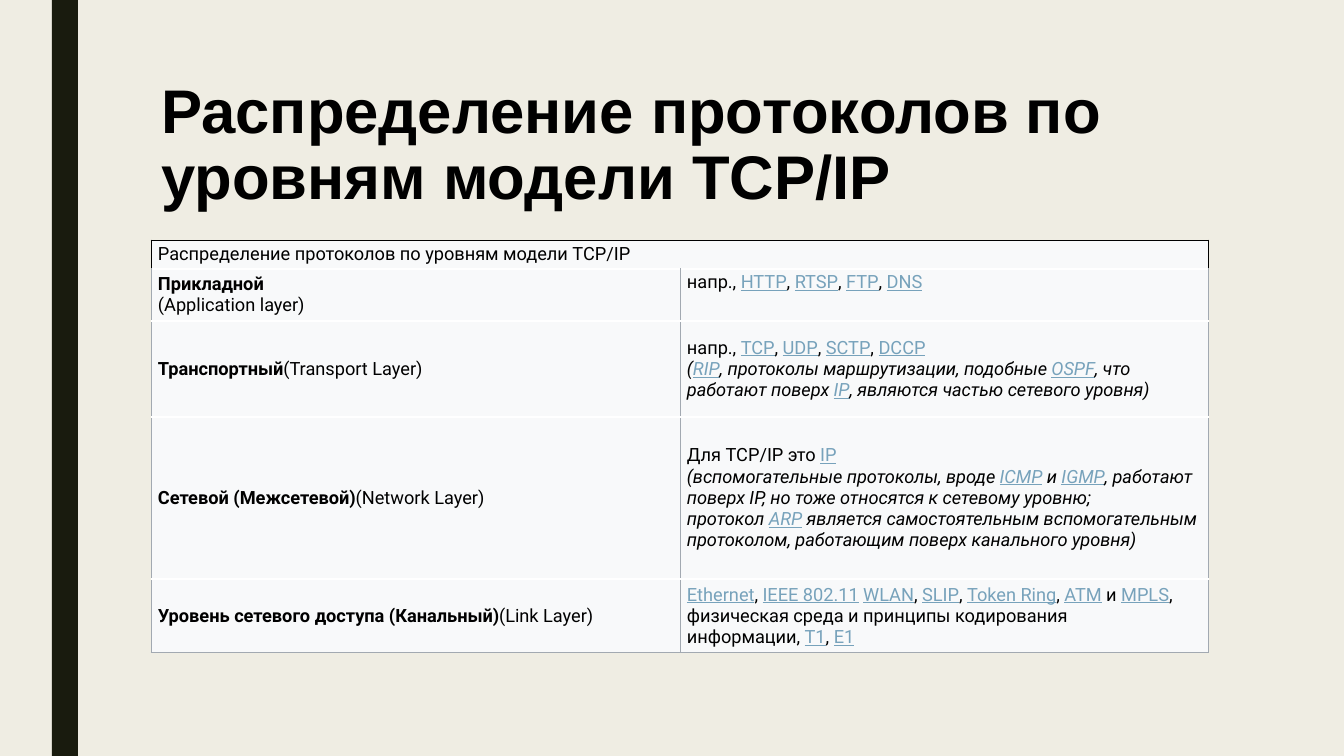
from dataclasses import dataclass

from lxml.etree import SubElement
from pptx import Presentation
from pptx.dml.color import RGBColor
from pptx.enum.shapes import MSO_SHAPE
from pptx.enum.text import MSO_ANCHOR, PP_ALIGN
from pptx.oxml.ns import qn
from pptx.util import Emu, Pt

NBSP = chr(160)


@dataclass(frozen=True)
class Theme:
    background: str = "EFEDE3"
    bar: str = "191B0E"
    ink: str = "000000"
    link: str = "77A2BB"
    cell: str = "F8F9FA"
    border: str = "A2A9B1"
    title_font: str = "Arial"
    body_font: str = "Roboto"
    title_size: int = 44
    body_size: int = 13
    border_width: float = 0.75


THEME = Theme()

HEADING = "Распределение протоколов по уровням модели TCP/IP"

LAYERS = [
    (
        [("Прикладной\n", "bold"), ("(Application layer)", "plain")],
        [("напр., [HTTP], [RTSP], [FTP], [DNS]", "plain")],
    ),
    (
        [("Транспортный", "bold"), ("(Transport Layer)", "plain")],
        [
            ("напр., [TCP], [UDP], [SCTP], [DCCP]\n", "plain"),
            ("([RIP], протоколы маршрутизации, подобные [OSPF], что работают "
             "поверх [IP], являются частью сетевого уровня)", "italic"),
        ],
    ),
    (
        [("Сетевой (Межсетевой)", "bold"), ("(Network Layer)", "plain")],
        [
            ("Для TCP/IP это [IP]\n", "plain"),
            ("(вспомогательные протоколы, вроде [ICMP] и [IGMP], работают "
             "поверх IP, но тоже относятся к сетевому уровню; протокол [ARP] "
             "является самостоятельным вспомогательным протоколом, "
             "работающим поверх канального уровня)", "italic"),
        ],
    ),
    (
        [("Уровень сетевого доступа (Канальный)", "bold"), ("(Link Layer)", "plain")],
        [("[Ethernet], [IEEE 802.11] [WLAN], [SLIP], [Token Ring], [ATM] и [MPLS], "
          "физическая среда и принципы кодирования информации, [T1], [E1]", "plain")],
    ),
]

ROW_HEIGHTS = [29, 52, 96, 162, 74]


def px(length):
    return Emu(round(length * 914400 / 100.8))


def color(value):
    return RGBColor.from_string(value)


def add_span(para, text, font, size, ink, bold=False, italic=False, underline=False):
    span = para.add_run()
    span.text = text
    span.font.name = font
    span.font.size = Pt(size)
    span.font.color.rgb = color(ink)
    span.font.bold = bold
    span.font.italic = italic
    span.font.underline = underline


def add_rich_text(para, pieces):
    for text, style in pieces:
        marked = text.replace(" [", NBSP + "[").replace("] ", "]" + NBSP)
        for position, part in enumerate(marked.replace("]", "[").split("[")):
            is_link = position % 2 == 1
            words = part.rstrip("\n")
            if words:
                add_span(
                    para, words, THEME.body_font, THEME.body_size,
                    THEME.link if is_link else THEME.ink,
                    style == "bold", style == "italic", is_link,
                )
            if part.endswith("\n"):
                para.add_line_break()


def set_borders(cell, sides, ink):
    properties = cell._tc.get_or_add_tcPr()
    for index, side in enumerate(sides):
        line = SubElement(properties, qn(f"a:ln{side}"), w=str(Pt(THEME.border_width)))
        fill = SubElement(line, qn("a:solidFill"))
        SubElement(fill, qn("a:srgbClr"), val=ink)
        properties.insert(index, line)


def format_cell(cell, sides, ink):
    cell.fill.solid()
    cell.fill.fore_color.rgb = color(THEME.cell)
    cell.margin_left = cell.margin_right = px(7)
    cell.margin_top = cell.margin_bottom = px(3)
    cell.vertical_anchor = MSO_ANCHOR.MIDDLE
    set_borders(cell, sides, ink)


def add_bar(page):
    bar = page.shapes.add_shape(MSO_SHAPE.RECTANGLE, px(52), 0, px(26), px(756))
    bar.shadow.inherit = False
    bar.fill.solid()
    bar.fill.fore_color.rgb = color(THEME.bar)
    bar.line.fill.background()


def format_title(page):
    title = page.shapes.title
    title.left, title.top, title.width, title.height = px(151), px(76), px(1058), px(163)
    title.text_frame.word_wrap = True
    title.text_frame.vertical_anchor = MSO_ANCHOR.TOP
    para = title.text_frame.paragraphs[0]
    para.alignment = PP_ALIGN.LEFT
    para.line_spacing = 0.89
    add_span(para, HEADING, THEME.title_font, THEME.title_size, THEME.ink, bold=True)


def add_layer_table(page):
    frame = page.shapes.add_table(
        len(ROW_HEIGHTS), 2, px(151), px(240), px(1058), px(sum(ROW_HEIGHTS))
    )
    table = frame.table
    table.first_row = False
    table.horz_banding = False
    for column in table.columns:
        column.width = px(529)
    for row, height in zip(table.rows, ROW_HEIGHTS):
        row.height = px(height)

    header = table.cell(0, 0)
    header.merge(table.cell(0, 1))
    for cell in table.rows[0].cells:
        format_cell(cell, "LRTB", THEME.ink)
    add_rich_text(header.text_frame.paragraphs[0], [(HEADING, "plain")])

    for row_index, layer in enumerate(LAYERS, start=1):
        for column_index, pieces in enumerate(layer):
            cell = table.cell(row_index, column_index)
            format_cell(cell, "LRB", THEME.border)
            add_rich_text(cell.text_frame.paragraphs[0], pieces)
    table.cell(1, 1).vertical_anchor = MSO_ANCHOR.TOP


def main():
    deck = Presentation()
    deck.slide_width, deck.slide_height = px(1344), px(756)
    page = deck.slides.add_slide(deck.slide_layouts[5])
    page.background.fill.solid()
    page.background.fill.fore_color.rgb = color(THEME.background)
    add_bar(page)
    format_title(page)
    add_layer_table(page)
    deck.save("out.pptx")


if __name__ == "__main__":
    main()
